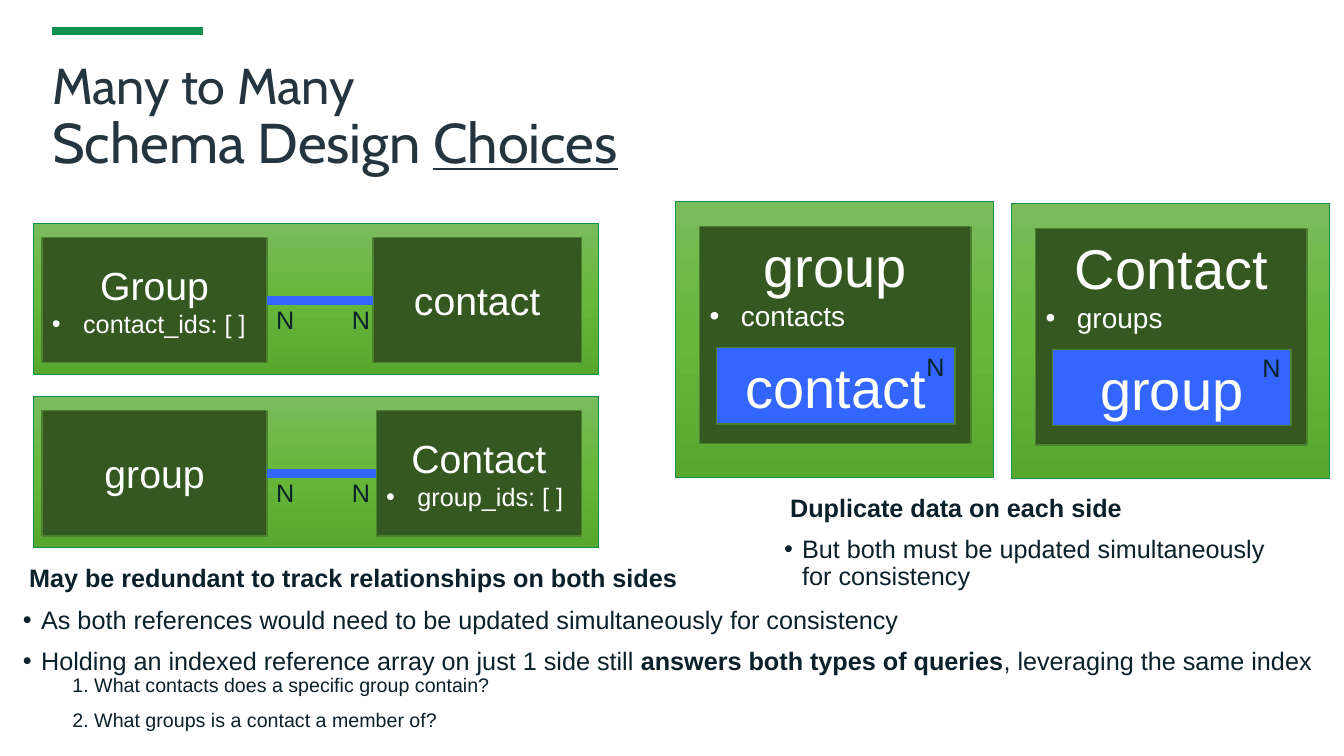
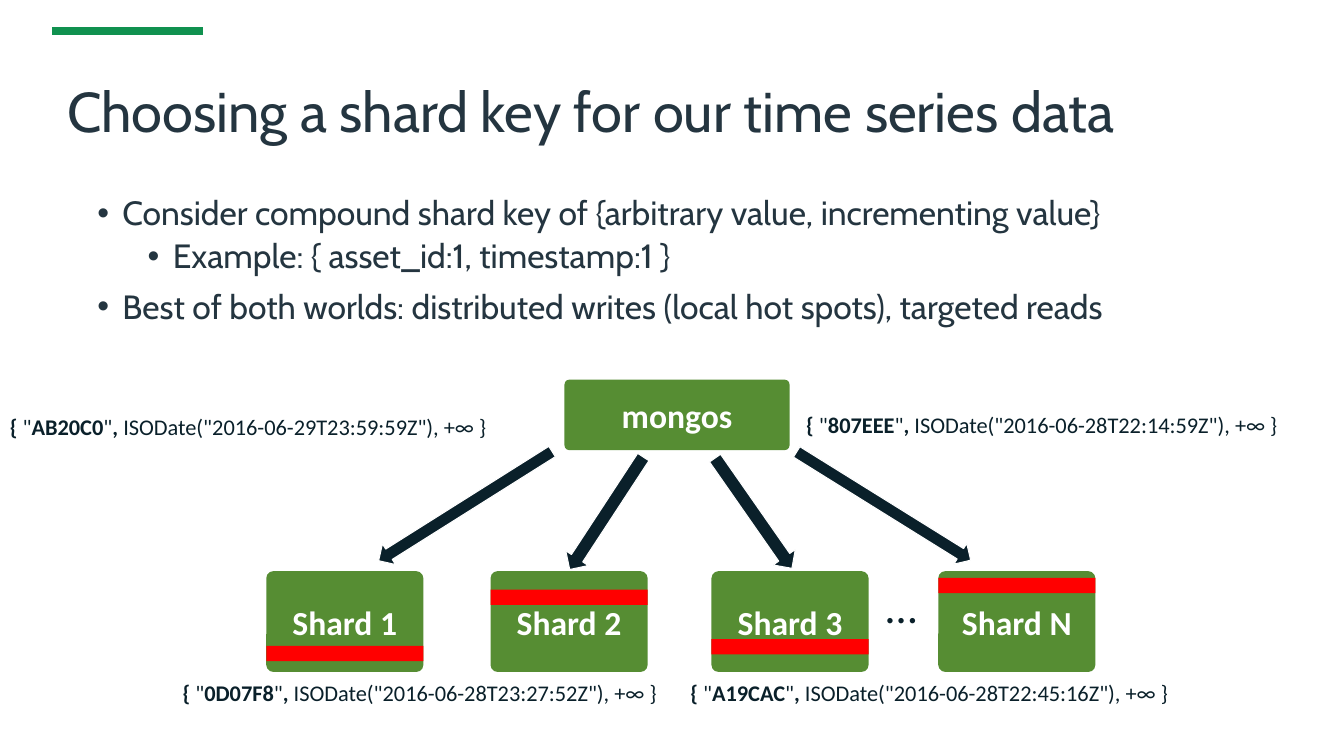
"""Build two slides on many-to-many schema design and shard keys."""
import copy
import dataclasses

import lxml.etree
import pptx
import pptx.dml.color
import pptx.enum.shapes
import pptx.enum.text
import pptx.oxml.ns
import pptx.util

Shape = pptx.enum.shapes.MSO_SHAPE
Align = pptx.enum.text.PP_ALIGN
Anchor = pptx.enum.text.MSO_ANCHOR
qn = pptx.oxml.ns.qn


@dataclasses.dataclass(frozen=True)
class Theme:
    """Hold the colours, fonts and type sizes."""
    ink: str = "0A202A"
    slate: str = "243540"
    white: str = "FFFFFF"
    band: str = "10914F"
    fade: tuple = ("7ABB5C", "66B73A", "58A72E")
    dark: str = "345820"
    edge: str = "4C812F"
    node: str = "568D33"
    blue: str = "3366FF"
    red: str = "FF0000"
    head: str = "Cabin"
    plain: str = "Arial"
    label: str = "Calibri"
    title: int = 40
    lead: int = 36
    dots: int = 32
    large: int = 28
    body: int = 24
    item: int = 20
    text: int = 18
    code: int = 16
    small: int = 14


@dataclasses.dataclass
class Para:
    """Describe one paragraph; runs are text or (text, bold, underline)."""
    runs: object
    size: int
    font: str = Theme.plain
    color: str = Theme.ink
    bold: bool = False
    align: object = Align.LEFT
    left: float = 0
    hang: float = 0
    mark: bool = False
    before: int = 0
    lines: float = 1


def rgb(color):
    """Turn a hex string into a colour."""
    return pptx.dml.color.RGBColor.from_string(color)


class Deck:
    """Draw styled elements on the current slide in a 160 by 90 grid."""

    def __init__(self, theme):
        """Start an empty wide deck."""
        self.theme = theme
        self.file = pptx.Presentation()
        self.file.slide_width = pptx.util.Inches(13.33)
        self.file.slide_height = pptx.util.Inches(7.5)
        self.shapes = None

    def grid(self, *cells):
        """Turn alternating columns and rows into lengths."""
        units = (self.file.slide_width / 160, self.file.slide_height / 90)
        return [round(cell * units[i % 2]) for i, cell in enumerate(cells)]

    def slide(self, at, lines, anchor, inset):
        """Add a slide with its title and top band."""
        self.page = self.file.slides.add_slide(self.file.slide_layouts[5])
        self.shapes = self.page.shapes
        self.line((6.2, 3.7), (24.2, 3.7), self.theme.band)
        title = self.shapes.title
        title.left, title.top, title.width, title.height = self.grid(*at)
        self.fit(title.text_frame, lines, anchor, inset)

    def group(self):
        """Send the next shapes into a new group."""
        self.shapes = self.page.shapes.add_group_shape().shapes

    def leave(self):
        """Send the next shapes to the slide again."""
        self.shapes = self.page.shapes

    def fit(self, frame, paras, anchor, inset=(0.1, 0.05)):
        """Fill a text frame with paragraphs."""
        side, top = map(pptx.util.Inches, inset)
        frame.margin_left = frame.margin_right = side
        frame.margin_top = frame.margin_bottom = top
        frame.word_wrap = True
        frame.auto_size = pptx.enum.text.MSO_AUTO_SIZE.NONE
        frame.vertical_anchor = anchor
        for i, para in enumerate(paras):
            line = frame.add_paragraph() if i else frame.paragraphs[0]
            self.para(line, para)

    def para(self, line, para):
        """Format one paragraph and add its runs."""
        props = line._p.get_or_add_pPr()
        props.set("marL", str(pptx.util.Inches(para.left)))
        props.set("indent", str(pptx.util.Inches(-para.hang)))
        if para.mark:
            tint = lxml.etree.SubElement(props, qn("a:buClr"))
            lxml.etree.SubElement(tint, qn("a:srgbClr"), val=para.color)
            lxml.etree.SubElement(props, qn("a:buFont"), typeface="Arial")
            lxml.etree.SubElement(props, qn("a:buChar"), char="•")
        line.alignment = para.align
        line.line_spacing = para.lines
        line.space_before = pptx.util.Pt(para.before)
        line.font.name = para.font
        line.font.size = pptx.util.Pt(para.size)
        line.font.color.rgb = rgb(para.color)
        if isinstance(para.runs, str):
            line.font.bold = para.bold
            line.add_run().text = para.runs
            return
        for text, bold, under in para.runs:
            run = line.add_run()
            run.text = text
            run.font.bold = bold
            if under:
                run.font.underline = True

    def box(self, at, fill, paras=(), edge=None, kind=Shape.RECTANGLE,
            anchor=Anchor.MIDDLE, width=1, turn=0):
        """Add a filled shape, with text if given."""
        shape = self.shapes.add_shape(kind, *self.grid(*at))
        shape.shadow.inherit = False
        shape.rotation = turn
        if isinstance(fill, tuple):
            self.blend(shape, fill)
        else:
            shape.fill.solid()
            shape.fill.fore_color.rgb = rgb(fill)
        if edge:
            shape.line.color.rgb = rgb(edge)
            shape.line.width = pptx.util.Pt(width)
        else:
            shape.line.fill.background()
        if kind == Shape.ROUNDED_RECTANGLE:
            shape.adjustments[0] = 0.07
        if paras:
            self.fit(shape.text_frame, paras, anchor)
        return shape

    def blend(self, shape, colors):
        """Fill a shape with evenly spaced colours from top to bottom."""
        shape.fill.gradient()
        shape.fill.gradient_angle = 270
        stops = shape._element.spPr.find(".//" + qn("a:gsLst"))
        while len(stops) < len(colors):
            stops.append(copy.deepcopy(stops[0]))
        for i, stop in enumerate(shape.fill.gradient_stops):
            stop.position = i / (len(colors) - 1)
            stop.color.rgb = rgb(colors[i])

    def text(self, at, paras, inset=(0.1, 0.05)):
        """Add a text box."""
        shape = self.shapes.add_textbox(*self.grid(*at))
        self.fit(shape.text_frame, paras, Anchor.TOP, inset)

    def line(self, start, end, color):
        """Add a thick straight line."""
        kind = pptx.enum.shapes.MSO_CONNECTOR.STRAIGHT
        line = self.shapes.add_connector(kind, *self.grid(*start, *end))
        line.line.color.rgb = rgb(color)
        line.line.width = pptx.util.Pt(6)
        lxml.etree.SubElement(line._element.spPr, qn("a:effectLst"))
        return line

    def panel(self, at):
        """Add a shaded green panel."""
        self.box(at, self.theme.fade, edge=self.theme.band, width=0.75)

    def many(self, left, top):
        """Add the letter that marks a many side."""
        self.text((left, top, 4.1, 4.1), [Para("N", self.theme.text)])

    def entry(self, name, size, field=None, small=None):
        """Give the paragraphs of an entity and its field."""
        white = self.theme.white
        paras = [Para(name, size, color=white, align=Align.CENTER)]
        if field:
            paras.append(Para(field, small, color=white, left=0.31,
                              hang=0.31, mark=True))
        return paras

    def link(self, top, left, right, start):
        """Add a panel with two linked entities."""
        look = self.theme
        self.panel((4, top, 67.3, 18))
        row = top + 1.7
        one, two = [
            self.box((x, row, wide, 14.9), look.dark,
                     self.entry(name, look.large, field, look.text), look.edge)
            for x, wide, (name, field) in (
                (5, 26.8, left), (start, 69.2 - start, right))]
        join = self.line((start, row), (31.8, row), look.blue)
        join.begin_connect(two, 1)
        join.end_connect(one, 3)
        for x in (31.7, 40.7):
            self.many(x, top + 9)

    def card(self, left, top, name, field, inner):
        """Add a panel with one entity embedded in another."""
        look = self.theme
        self.group()
        self.panel((left, top, 37.9, 32.8))
        self.box((left + 2.9, top + 3, 32.3, 25.8), look.dark,
                 self.entry(name, look.title, field, look.item), look.edge,
                 anchor=Anchor.TOP)
        self.box((left + 4.9, top + 17.4, 28.4, 9.1), look.blue,
                 self.entry(inner, look.title), look.edge)
        self.many(left + 28.7, top + 17.2)
        self.leave()

    def head(self, runs, size):
        """Give one title line."""
        return Para(runs, size, self.theme.head, self.theme.slate, lines=0.9)

    def lead(self, runs):
        """Give a bold opening line."""
        return Para(runs, self.theme.text, bold=True, left=0.19, lines=0.9)

    def point(self, runs):
        """Give a bulleted remark."""
        return Para(runs, self.theme.text, left=0.31, hang=0.18, mark=True,
                    before=10, lines=0.9)

    def query(self, runs, before):
        """Give a small indented question."""
        return Para(runs, self.theme.small, left=0.62, before=before, lines=0.9)

    def topic(self, runs, left, before):
        """Give a large bulleted line."""
        return Para(runs, self.theme.body, self.theme.head, self.theme.slate,
                    left=left, hang=0.25, mark=True, before=before, lines=0.9)

    def node(self, at, name):
        """Add a rounded server box."""
        para = Para(name, self.theme.body, self.theme.label, self.theme.white,
                    True, Align.CENTER)
        self.box(at, self.theme.node, [para], kind=Shape.ROUNDED_RECTANGLE)

    def key(self, left, top, wide, code, date, align=Align.LEFT):
        """Add the upper bound of a chunk."""
        parts = ("{ ", '"', code, '"', ", ", f'ISODate("{date}"), +∞ }}')
        runs = [(part, i in (0, 2, 4), False) for i, part in enumerate(parts)]
        self.text((left, top, wide, 4.4), [
            Para(runs, self.theme.code, self.theme.label, align=align)])


def schema(deck):
    """Draw the schema design slide."""
    look = deck.theme
    deck.slide((5, 4.1, 151.1, 17.4), [
        deck.head("Many to Many", look.lead),
        deck.head([("Schema Design ", False, False), ("Choices", False, True)],
                  look.title)], Anchor.BOTTOM, (0.1, 0.05))
    deck.link(26.6, ("Group", "contact_ids: [ ]"), ("contact", None), 44.4)
    deck.link(47.2, ("group", None), ("Contact", "group_ids: [ ]"), 44.8)
    deck.text((0, 66.2, 160, 22), [
        deck.lead("May be redundant to track relationships on both sides"),
        deck.point("As both references would need to be updated "
                   "simultaneously for consistency"),
        deck.point([
            ("Holding an indexed reference array on just 1 side still ",
             False, False),
            ("answers both types of queries", True, False),
            (", leveraging the same index", False, False)]),
        deck.query("1. What contacts does a specific group contain?", 0),
        deck.query("2. What groups is a contact a member of?", 10)], (0.1, 0.1))
    deck.card(80.4, 24, "group", "contacts", "contact")
    deck.card(120.4, 24.2, "Contact", "groups", "group")
    deck.text((90.6, 57.8, 64.2, 13), [
        deck.lead("Duplicate data on each side"),
        deck.point("But both must be updated simultaneously for consistency")],
        (0.1, 0.1))


def shards(deck):
    """Draw the shard key slide."""
    look = deck.theme
    deck.slide((8, 7.8, 144, 15), [
        deck.head("Choosing a shard key for our time series data", look.title)],
        Anchor.TOP, (0, 0.18))
    deck.text((10.4, 22.8, 147.2, 20), [
        deck.topic("Consider compound shard key of "
                   "{arbitrary value, incrementing value}", 0.25, 0),
        deck.topic("Example: { asset_id:1, timestamp:1 }", 0.75, 5),
        deck.topic("Best of both worlds: distributed writes "
                   "(local hot spots), targeted reads", 0.25, 10)])
    deck.node((67.2, 45.2, 26.8, 8.4), "mongos")
    for name, left, bar in (("1", 31.7, 76.9), ("2", 58.4, 70.2),
                            ("3", 84.7, 76.1), ("N", 111.7, 68.8)):
        deck.node((left, 68, 18.7, 12), f"Shard {name}")
        deck.box((left, bar, 18.7, 1.8), look.red)
    for left, top, wide, high, turn in (
            (64.2, 59.5, 16, 3.2, 123.2), (43.2, 58.8, 24.4, 2.9, 147.8),
            (93, 58.8, 24.4, 2.9, 31.9), (81.7, 59.5, 16, 3.2, 55.1)):
        deck.box((left, top, wide, high), look.ink, edge=look.white,
                 kind=Shape.RIGHT_ARROW, width=0.75, turn=turn)
    deck.key(0, 48.6, 70.3, "AB20C0", "2016-06-29T23:59:59Z")
    deck.key(94.8, 48.4, 65.2, "807EEE", "2016-06-28T22:14:59Z")
    deck.key(81, 80.2, 77.6, "A19CAC", "2016-06-28T22:45:16Z")
    deck.key(3.7, 80.2, 75.7, "0D07F8", "2016-06-28T23:27:52Z", Align.RIGHT)
    deck.text((104.3, 68.3, 6.4, 7.7), [Para("…", look.dots, look.label)])


def main():
    """Build and save the deck."""
    deck = Deck(Theme())
    schema(deck)
    shards(deck)
    deck.file.save("out.pptx")


if __name__ == "__main__":
    main()
